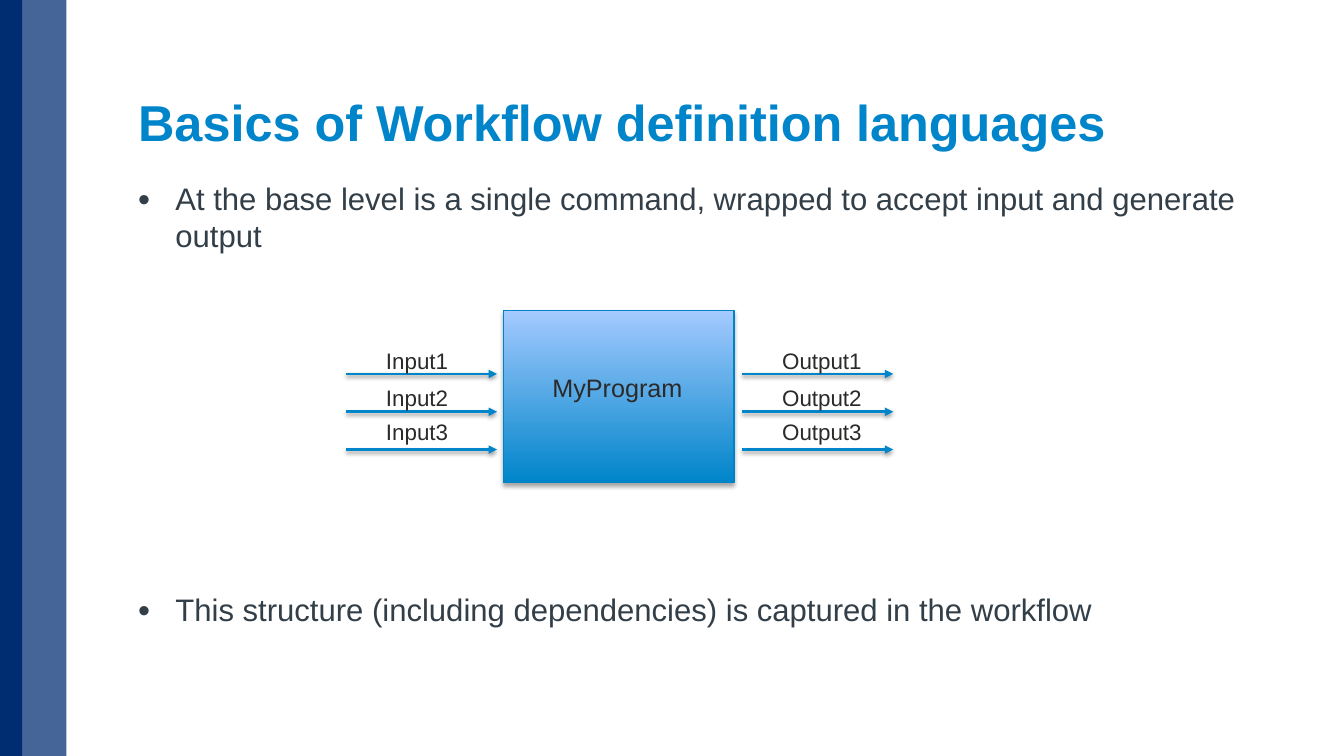
from dataclasses import dataclass

from lxml.etree import SubElement
from pptx import Presentation
from pptx.dml.color import RGBColor
from pptx.enum.shapes import MSO_CONNECTOR, MSO_SHAPE
from pptx.enum.text import MSO_ANCHOR
from pptx.oxml.ns import qn
from pptx.shapes.autoshape import Shape
from pptx.shapes.base import BaseShape
from pptx.slide import Slide
from pptx.text.text import _Paragraph as Paragraph
from pptx.util import Inches, Pt

FONT = "Arial"
NAVY = RGBColor(0x00, 0x2D, 0x72)
BLUE = RGBColor(0x00, 0x85, 0xCA)
EDGE_BLUE = RGBColor(0x00, 0x82, 0xC6)
PALE_BLUE = RGBColor(0xA4, 0xCA, 0xFF)
SLATE = RGBColor(0x33, 0x3F, 0x48)
INK = RGBColor(0x2C, 0x2A, 0x29)

ARROW_TOP, ARROW_STEP, ARROW_LENGTH = 3.71, 0.375, 1.5
LABEL_TOPS = (3.39, 3.76, 4.1)


@dataclass
class Stripe:
    left: float
    width: float
    alpha: int


@dataclass
class Port:
    name: str
    left: float
    label_width: float


@dataclass
class Bullet:
    text: str
    before: float


STRIPES = (Stripe(0, 0.22, 100), Stripe(0.22, 0.44, 73))
PORTS = (Port("Input", 3.43, 0.89), Port("Output", 7.36, 1.04))
BULLETS = (
    Bullet("At the base level is a single command, wrapped to accept input and generate output", 0),
    Bullet("This structure (including dependencies) is captured in the workflow", 227.4),
)


def add_alpha(color, percent: int) -> None:
    SubElement(color, qn("a:alpha"), val=str(percent * 1000))


def add_shadow(sp: BaseShape, alpha: int, distance: float) -> None:
    effects = SubElement(sp._element.spPr, qn("a:effectLst"))
    shadow = SubElement(effects, qn("a:outerShdw"), blurRad=str(Pt(3.1)),
                        dist=str(Pt(distance)), dir="5400000", rotWithShape="0")
    add_alpha(SubElement(shadow, qn("a:srgbClr"), val="000000"), alpha)


def add_run(p: Paragraph, text: str, size: float, color: RGBColor, bold: bool = False) -> None:
    r = p.add_run()
    r.text = text
    r.font.name = FONT
    r.font.size = Pt(size)
    r.font.color.rgb = color
    r.font.bold = bold


def add_box(s: Slide, left: float, top: float, width: float, height: float) -> Shape:
    sp = s.shapes.add_textbox(Inches(left), Inches(top), Inches(width), Inches(height))
    sp.text_frame.word_wrap = True
    return sp


def add_label(s: Slide, text: str, left: float, top: float, width: float,
              height: float, size: float) -> None:
    sp = add_box(s, left, top, width, height)
    sp.text_frame.word_wrap = False
    add_run(sp.text_frame.paragraphs[0], text, size, INK)


def add_stripe(s: Slide, stripe: Stripe) -> None:
    sp = s.shapes.add_shape(MSO_SHAPE.RECTANGLE, Inches(stripe.left), 0,
                            Inches(stripe.width), Inches(7.5))
    sp.shadow.inherit = False
    sp.fill.solid()
    sp.fill.fore_color.rgb = NAVY
    sp.line.fill.background()
    if stripe.alpha < 100:
        add_alpha(sp._element.spPr.find(qn("a:solidFill"))[0], stripe.alpha)


def add_title(s: Slide) -> None:
    tf = add_box(s, 1.37, 0.3, 11.5, 1.25).text_frame
    tf.margin_left = 0
    tf.vertical_anchor = MSO_ANCHOR.BOTTOM
    add_run(tf.paragraphs[0], "Basics of Workflow definition languages", 36, BLUE, bold=True)


def add_bullets(s: Slide) -> None:
    tf = add_box(s, 1.37, 1.75, 11.5, 4.58).text_frame
    tf.margin_left = 0
    for i, bullet in enumerate(BULLETS):
        p = tf.add_paragraph() if i else tf.paragraphs[0]
        pPr = p._p.get_or_add_pPr()
        pPr.set("marL", str(Inches(0.37)))
        pPr.set("indent", str(Inches(-0.37)))
        SubElement(pPr, qn("a:buSzPct"), val="110000")
        SubElement(pPr, qn("a:buFont"), typeface=FONT)
        SubElement(pPr, qn("a:buChar"), char="•")
        p.line_spacing = 0.98
        p.space_before = Pt(bullet.before)
        p.space_after = Pt(14)
        add_run(p, bullet.text, 22.2, SLATE)


def add_program(s: Slide) -> None:
    sp = s.shapes.add_shape(MSO_SHAPE.RECTANGLE, Inches(4.99), Inches(3.08),
                            Inches(2.29), Inches(1.71))
    sp.fill.gradient()
    sp.fill.gradient_angle = 90
    for stop, color, position in zip(sp.fill.gradient_stops, (BLUE, PALE_BLUE), (0, 1)):
        stop.color.rgb = color
        stop.position = position
    sp.line.color.rgb = EDGE_BLUE
    sp.line.width = Pt(0.75)
    add_shadow(sp, 35, 1.8)
    add_label(s, "MyProgram", 5.38, 3.64, 1.53, 0.4, 18)


def add_arrow(s: Slide, left: float, top: float) -> None:
    cx = s.shapes.add_connector(MSO_CONNECTOR.STRAIGHT, Inches(left), Inches(top),
                                Inches(left + ARROW_LENGTH), Inches(top))
    cx.line.color.rgb = BLUE
    cx.line.width = Pt(2)
    SubElement(cx.line._get_or_add_ln(), qn("a:tailEnd"), type="triangle")
    add_shadow(cx, 38, 1.6)


def add_ports(s: Slide, port: Port) -> None:
    for i, label_top in enumerate(LABEL_TOPS):
        add_arrow(s, port.left, ARROW_TOP + i * ARROW_STEP)
        add_label(s, f"{port.name}{i + 1}", port.left + 0.3, label_top,
                  port.label_width, 0.37, 16)


def main() -> None:
    prs = Presentation()
    prs.slide_width, prs.slide_height = Inches(13.33), Inches(7.5)
    s = prs.slides.add_slide(prs.slide_layouts[6])
    for stripe in STRIPES:
        add_stripe(s, stripe)
    add_title(s)
    add_bullets(s)
    add_program(s)
    for port in PORTS:
        add_ports(s, port)
    prs.save("out.pptx")


if __name__ == "__main__":
    main()
